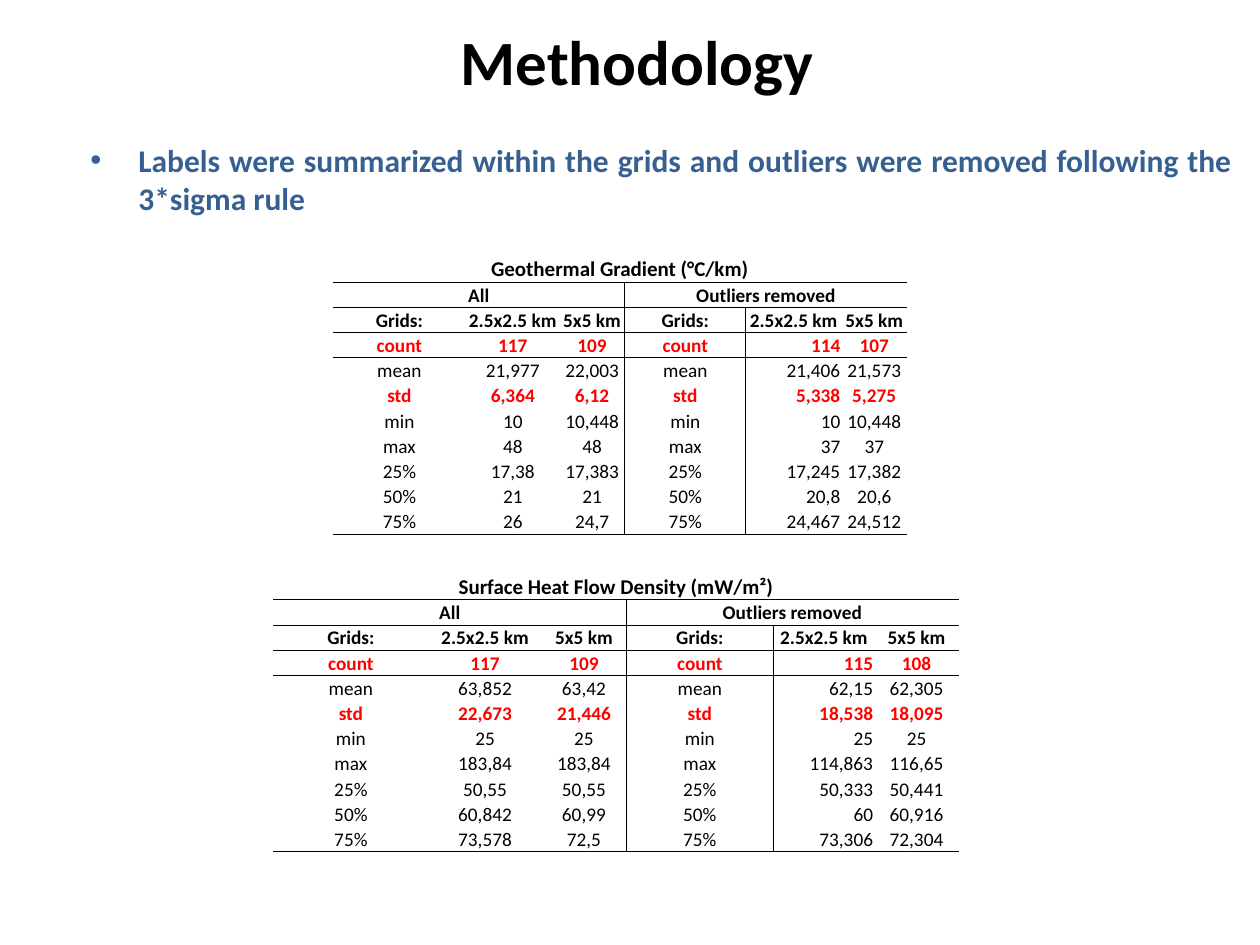
from lxml import etree
from pptx import Presentation
from pptx.dml.color import RGBColor
from pptx.enum.text import MSO_ANCHOR, PP_ALIGN
from pptx.oxml.ns import qn
from pptx.util import Inches, Pt

CENTER, RIGHT, JUSTIFY = PP_ALIGN.CENTER, PP_ALIGN.RIGHT, PP_ALIGN.JUSTIFY
MIDDLE, BOTTOM = MSO_ANCHOR.MIDDLE, MSO_ANCHOR.BOTTOM
TITLE_ONLY = 5
NO_STYLE = "{2D5ABB26-0587-4C30-8999-92F81FD0307C}"
BLACK, RED, BLUE = "000000", "FF0000", "376092"
HEADINGS = ["Grids:", "2.5x2.5 km", "5x5 km"]
STATISTICS = ["count", "mean", "std", "min", "max", "25%", "50%", "75%"]
HIGHLIGHTED = ("count", "std")

GRADIENT = [
    ["117", "109", "114", "107"],
    ["21,977", "22,003", "21,406", "21,573"],
    ["6,364", "6,12", "5,338", "5,275"],
    ["10", "10,448", "10", "10,448"],
    ["48", "48", "37", "37"],
    ["17,38", "17,383", "17,245", "17,382"],
    ["21", "21", "20,8", "20,6"],
    ["26", "24,7", "24,467", "24,512"],
]
HEAT_FLOW = [
    ["117", "109", "115", "108"],
    ["63,852", "63,42", "62,15", "62,305"],
    ["22,673", "21,446", "18,538", "18,095"],
    ["25", "25", "25", "25"],
    ["183,84", "183,84", "114,863", "116,65"],
    ["50,55", "50,55", "50,333", "50,441"],
    ["60,842", "60,99", "60", "60,916"],
    ["73,578", "72,5", "73,306", "72,304"],
]


def color(value):
    return RGBColor.from_string(value)


def grid(units):
    return Inches(units / 10)


class Page:
    font = "Calibri"

    def __init__(self, deck):
        self.slide = deck.slides.add_slide(deck.slide_layouts[TITLE_ONLY])

    def set_text(self, para, text, size, tint=BLACK, bold=True, align=CENTER):
        para.text = text
        para.alignment = align
        font = para.font
        font.name, font.size, font.bold = self.font, Pt(size), bold
        font.color.rgb = color(tint)

    def title(self, text, left, top, width, height):
        box = self.slide.shapes.title
        box.left, box.top = grid(left), grid(top)
        box.width, box.height = grid(width), grid(height)
        box.text_frame.vertical_anchor = MIDDLE
        self.set_text(box.text_frame.paragraphs[0], text, 36)

    def bullet(self, text, left, top, width, height):
        box = self.slide.shapes.add_textbox(grid(left), grid(top), grid(width), grid(height))
        box.text_frame.word_wrap = True
        para = box.text_frame.paragraphs[0]
        properties = para._p.get_or_add_pPr()
        properties.set("marL", str(grid(8.8)))
        properties.set("indent", str(grid(-3.8)))
        etree.SubElement(properties, qn("a:buFont"), typeface="Arial")
        etree.SubElement(properties, qn("a:buChar"), char="•")
        self.set_text(para, text, 18, BLUE, align=JUSTIFY)

    def borders(self, cell, sides):
        properties = cell._tc.get_or_add_tcPr()
        for side in sides:
            line = etree.SubElement(properties, qn("a:ln" + side), w=str(Pt(0.5)))
            fill = etree.SubElement(line, qn("a:solidFill"))
            etree.SubElement(fill, qn("a:srgbClr"), val=BLACK)

    def sides(self, row, column, last_row):
        rules = {
            "L": row > 0 and column == 3,
            "R": row > 0 and column == 2 or (row, column) == (1, 0),
            "T": row in (1, 3),
            "B": row in (0, 2, last_row),
        }
        return [side for side, drawn in rules.items() if drawn]

    def statistics(self, heading, values, left, top, widths):
        rows = [
            [heading] + [""] * 5,
            ["All", "", "", "Outliers removed", "", ""],
            HEADINGS * 2,
        ]
        rows += [[name, *line[:2], name, *line[2:]] for name, line in zip(STATISTICS, values)]
        heights = [2.2] + [2] * (len(rows) - 1)
        frame = self.slide.shapes.add_table(
            len(rows), len(widths), grid(left), grid(top), grid(sum(widths)), grid(sum(heights)))
        table = frame.table
        table.first_row = table.horz_banding = False
        table._tbl.tblPr.find(qn("a:tableStyleId")).text = NO_STYLE
        for column, width in zip(table.columns, widths):
            column.width = grid(width)
        for row, height in zip(table.rows, heights):
            row.height = grid(height)
        for r, texts in enumerate(rows):
            marked = texts[0] in HIGHLIGHTED
            for c, text in enumerate(texts):
                cell = table.cell(r, c)
                cell.margin_left = cell.margin_right = cell.margin_top = grid(0.1)
                cell.margin_bottom = 0
                cell.vertical_anchor = BOTTOM
                self.set_text(cell.text_frame.paragraphs[0], text, 11 if r else 12,
                              RED if marked else BLACK, r < 3 or marked,
                              RIGHT if r > 2 and c == 4 else CENTER)
                self.borders(cell, self.sides(r, c, len(rows) - 1))
                cell.fill.background()
        for row, first, last in [(0, 0, 5), (1, 0, 2), (1, 3, 5)]:
            table.cell(row, first).merge(table.cell(row, last))


def main():
    deck = Presentation()
    deck.slide_width, deck.slide_height = grid(100), grid(75)
    page = Page(deck)
    page.title(" Methodology", 7.5, 0, 85, 9.6)
    page.bullet("Labels were summarized within the grids and outliers were removed "
                "following the 3*sigma rule", 1.2, 10.7, 97.6, 58.3)
    page.statistics("Geothermal Gradient (°C/km)", GRADIENT, 26.4, 20.2,
                    [10.6, 7.4, 5.2, 9.6, 7.6, 5.2])
    page.statistics("Surface Heat Flow Density (mW/m²)", HEAT_FLOW, 21.7, 45.4,
                    [12.3, 9, 6.7, 11.7, 8, 6.7])
    deck.save("out.pptx")


if __name__ == "__main__":
    main()
